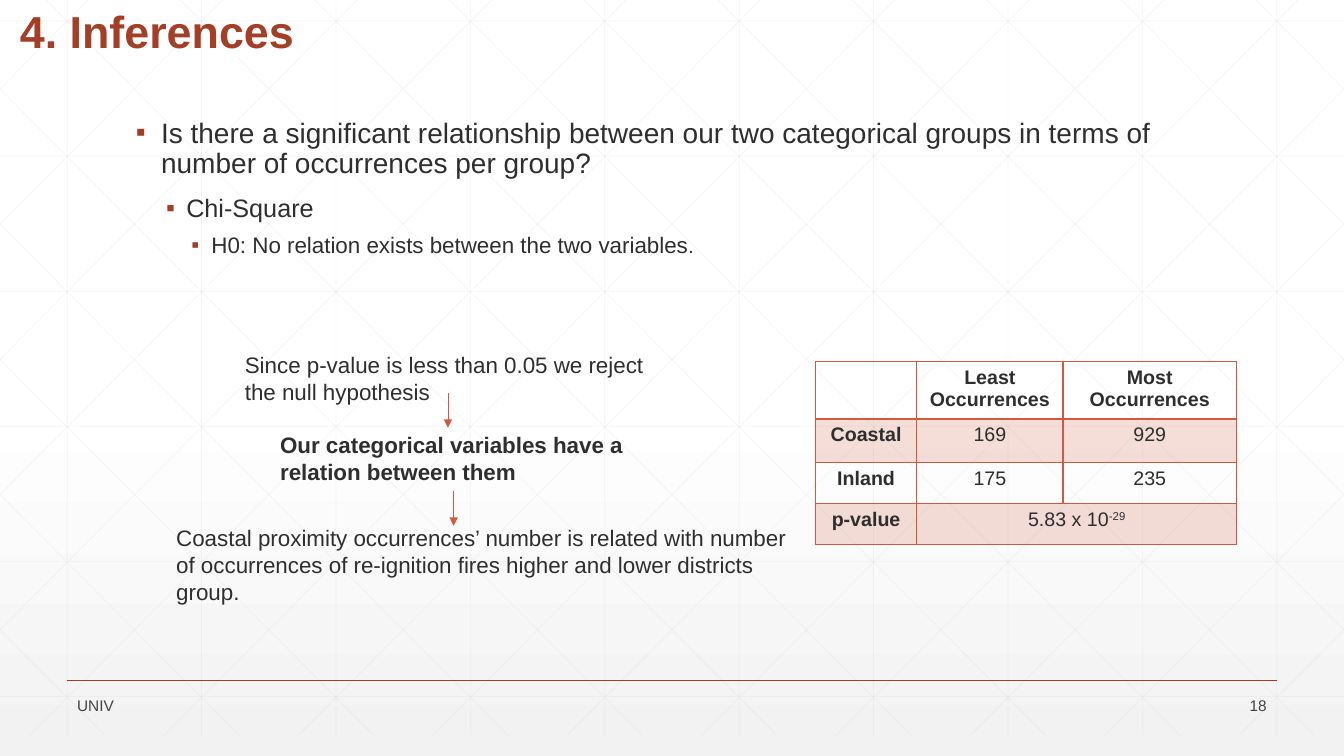
import pptx
import pptx.util
import pptx.dml.color
import pptx.enum.shapes
import pptx.enum.text
import pptx.oxml.ns
from lxml import etree

Pt = pptx.util.Pt
qn = pptx.oxml.ns.qn
ALIGN = pptx.enum.text.PP_ALIGN
ANCHOR = pptx.enum.text.MSO_ANCHOR

# Content
TITLE = "4. Inferences"
FOOTER, PAGE = "UNIV", "18"
# Each bullet: indent, hanging, space before, runs of (text, size)
QUESTION = [
    (18, 18, 18, [("Is there a significant relationship between our two categorical groups "
                   "in terms of number of occurrences per group?", 20)]),
    (36, 14.4, 12, [("Chi-Square", 18)]),
    (54, 14.4, 8, [("H0: No relation exists between the two variables", 16), (".", 14)]),
]
# Each step: left, top, width, height, bold, text
REASONING = [
    (167.8, 247, 300, 46, False, "Since p-value is less than 0.05 we reject the null hypothesis"),
    (193, 304.4, 262, 46, True, "Our categorical variables have a relation between them"),
    (118.8, 370.8, 451, 65.4, False,
     "Coastal proximity occurrences’ number is related with number of occurrences "
     "of re-ignition fires higher and lower districts group."),
]
ARROWS = [(320, 281, 305.5), (324, 350.8, 375.6)]  # x, top, bottom
# Each cell is a list of lines
OCCURRENCES = [
    [[], ["Least", "Occurrences"], ["Most", "Occurrences"]],
    [["Coastal"], ["169"], ["929"]],
    [["Inland"], ["175"], ["235"]],
    [["p-value"], ["5.83 x 10"], []],
]
EXPONENT = "-29"
COLUMN_WIDTHS = [72.4, 104.4, 124]
ROW_HEIGHTS = [29.5, 31, 29.5, 29.5]

THEME = {
    "font": "Arial", "text": "2D2E2D", "title": "A43F27", "accent": "D15A3E",
    "muted": "424342", "grid": "D9D9D9", "top": "FFFFFF", "bottom": "F2F2F2",
    "title_size": 32, "step_size": 16, "table_size": 14, "footer_size": 11,
}


def rgb(name):
    return pptx.dml.color.RGBColor.from_string(THEME[name])


def set_opacity(element, percent):
    for color in element.iter(qn("a:srgbClr")):
        etree.SubElement(color, qn("a:alpha")).set("val", str(percent * 1000))


def add_run(paragraph, text, size, color="text", bold=False):
    run = paragraph.add_run()
    run.text = text
    run.font.name, run.font.size, run.font.bold = THEME["font"], Pt(size), bold
    run.font.color.rgb = rgb(color)
    return run


def add_line(x1, y1, x2, y2, color, width):
    line = slide.shapes.add_connector(
        pptx.enum.shapes.MSO_CONNECTOR.STRAIGHT, Pt(x1), Pt(y1), Pt(x2), Pt(y2))
    line.line.color.rgb = rgb(color)
    line.line.width = Pt(width)
    properties = line._element.spPr
    etree.SubElement(properties, qn("a:effectLst"))
    return properties


def add_frame(left, top, width, height, anchor=ANCHOR.TOP):
    frame = slide.shapes.add_textbox(Pt(left), Pt(top), Pt(width), Pt(height)).text_frame
    frame.word_wrap = True
    frame.vertical_anchor = anchor
    return frame


def set_bullet(paragraph, indent, hanging):
    properties = paragraph._p.get_or_add_pPr()
    properties.set("marL", str(Pt(indent)))
    properties.set("indent", str(-Pt(hanging)))
    color = etree.SubElement(properties, qn("a:buClr"))
    etree.SubElement(color, qn("a:srgbClr")).set("val", THEME["title"])
    etree.SubElement(properties, qn("a:buFont")).set("typeface", THEME["font"])
    etree.SubElement(properties, qn("a:buChar")).set("char", "▪")


def set_borders(cell, widths):
    properties = cell._tc.get_or_add_tcPr()
    for position, (side, width) in enumerate(zip("LRTB", widths)):
        border = etree.Element(qn("a:ln" + side), w=str(Pt(width)))
        fill = etree.SubElement(border, qn("a:solidFill"))
        etree.SubElement(fill, qn("a:srgbClr")).set("val", THEME["accent"])
        properties.insert(position, border)


# Slide and background
deck = pptx.Presentation()
WIDTH, HEIGHT = 960, 540
deck.slide_width, deck.slide_height = Pt(WIDTH), Pt(HEIGHT)
slide = deck.slides.add_slide(deck.slide_layouts[6])
backdrop = slide.background.fill
backdrop.gradient()
backdrop.gradient_angle = 270
for stop, position, color in zip(backdrop.gradient_stops, (0.53, 1), ("top", "bottom")):
    stop.position = position
    stop.color.rgb = rgb(color)

# Faint grid: verticals, horizontals and mirrored diagonals
STEP, GRID_TOP, GRID_BOTTOM = 96, -15, 525
RUN = 536.6 / 540  # sideways travel of a diagonal per point of descent
grid = [(48 + STEP * i, GRID_TOP, 48 + STEP * i, GRID_BOTTOM) for i in range(10)]
grid += [(0, 15 + 96.5 * i, WIDTH, 15 + 96.5 * i) for i in range(6)]
for i in range(-5, 10):
    start = 18 + STEP * i
    x1, x2 = max(start, 0), min(start + RUN * (GRID_BOTTOM - GRID_TOP), WIDTH)
    y1, y2 = (GRID_TOP + (x - start) / RUN for x in (x1, x2))
    grid += [(x1, y1, x2, y2), (WIDTH - x1, y1, WIDTH - x2, y2)]
for ends in grid:
    set_opacity(add_line(*ends, "grid", 0.5), 25)

# Footer
add_line(48, 486, 912, 486, "title", 1)
for left, width, text, align in ((48, 482, FOOTER, ALIGN.LEFT), (840, 72, PAGE, ALIGN.RIGHT)):
    footer = add_frame(left, 495.4, width, 17.3, ANCHOR.MIDDLE).paragraphs[0]
    footer.alignment = align
    add_run(footer, text, THEME["footer_size"], "muted")

# Title
heading = add_frame(7.2, -44.6, 756, 90, ANCHOR.BOTTOM).paragraphs[0]
heading.line_spacing = 0.9
add_run(heading, TITLE, THEME["title_size"], "title", True)

# Question bullets
question = add_frame(90, 81.4, 756, 131.8)
for level, (indent, hanging, before, runs) in enumerate(QUESTION):
    bullet = question.add_paragraph() if level else question.paragraphs[0]
    bullet.level = level
    bullet.line_spacing, bullet.space_before = 0.9, Pt(before)
    set_bullet(bullet, indent, hanging)
    for text, size in runs:
        add_run(bullet, text, size)

# Reasoning steps and arrows
for left, top, width, height, bold, text in REASONING:
    step = add_frame(left, top, width, height).paragraphs[0]
    add_run(step, text, THEME["step_size"], bold=bold)
for x, top, bottom in ARROWS:
    arrow = add_line(x, top, x, bottom, "accent", 0.5)
    etree.SubElement(arrow.find(qn("a:ln")), qn("a:tailEnd")).set("type", "triangle")

# Occurrences table
table = slide.shapes.add_table(
    len(ROW_HEIGHTS), len(COLUMN_WIDTHS), Pt(582.5), Pt(258.4),
    Pt(sum(COLUMN_WIDTHS)), Pt(sum(ROW_HEIGHTS))).table
table.first_row = table.horz_banding = False
for column, width in zip(table.columns, COLUMN_WIDTHS):
    column.width = Pt(width)
for r, (row, height) in enumerate(zip(OCCURRENCES, ROW_HEIGHTS)):
    table.rows[r].height = Pt(height)
    for c, lines in enumerate(row):
        cell = table.cell(r, c)
        if r % 2:
            cell.fill.solid()
            cell.fill.fore_color.rgb = rgb("accent")
            set_opacity(cell._tc, 20)
        else:
            cell.fill.background()
        set_borders(cell, (1, 1, 2 if r == 1 else 1, 2 if r == 0 else 1))
        for n, text in enumerate(lines):
            entry = cell.text_frame.add_paragraph() if n else cell.text_frame.paragraphs[0]
            entry.alignment = ALIGN.CENTER
            add_run(entry, text, THEME["table_size"], bold=r == 0 or c == 0)
p_value = table.cell(3, 1)
p_value.merge(table.cell(3, 2))
exponent = add_run(p_value.text_frame.paragraphs[0], EXPONENT, THEME["table_size"])
exponent._r.get_or_add_rPr().set("baseline", "30000")

deck.save("out.pptx")
